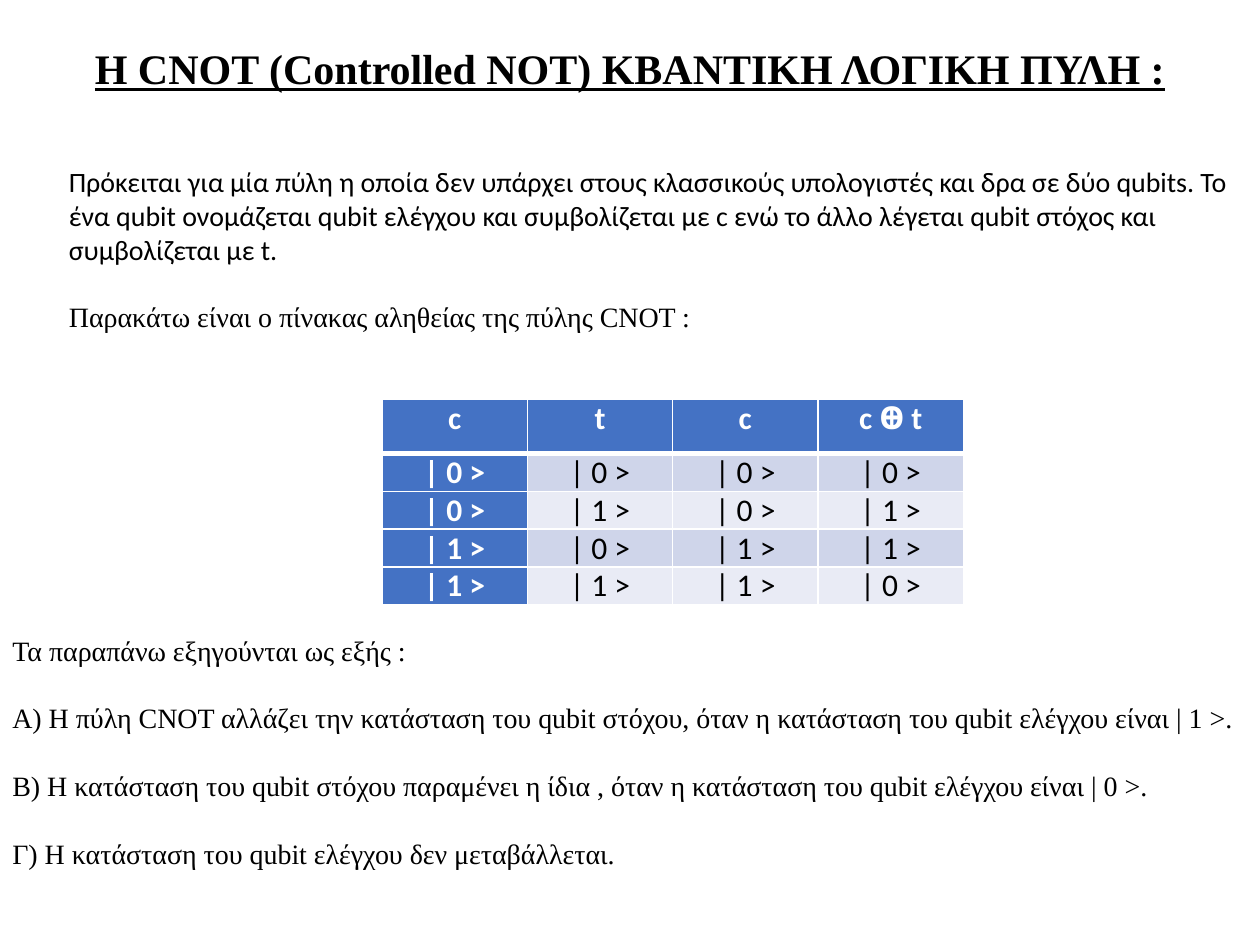
from dataclasses import dataclass

from lxml import etree
from pptx import Presentation, util as u
from pptx.dml.color import RGBColor
from pptx.enum import text
from pptx.oxml.ns import qn


@dataclass(frozen=True)
class Theme:
    serif: str = "Times New Roman"
    sans: str = "Calibri"
    ink: str = "000000"
    white: str = "FFFFFF"
    header: str = "4472C4"
    bands: tuple = ("CFD5EA", "E9EBF5")
    title: int = 24
    body: int = 16
    cell: int = 18
    gap: float = 19.5


T = Theme()


def add_run(p, words, font, size, color=T.ink, bold=False, underline=False):
    r = p.add_run()
    r.text = words
    r.font.name = font
    r.font.size = u.Pt(size)
    r.font.color.rgb = RGBColor.from_string(color)
    r.font.bold = bold
    r.font.underline = underline


def add_box(left, top, width, height):
    tf = s.shapes.add_textbox(u.Cm(left), u.Cm(top), u.Cm(width), u.Cm(height)).text_frame
    tf.word_wrap = True
    return tf


prs = Presentation()
prs.slide_width, prs.slide_height = u.Cm(25.4), u.Cm(19.05)
s = prs.slides.add_slide(prs.slide_layouts[6])

p = add_box(0, 0.74, 25.4, 4.11).paragraphs[0]
p.alignment = text.PP_ALIGN.CENTER
add_run(p, "Η CNOT (Controlled NOT) ΚΒΑΝΤΙΚΗ ΛΟΓΙΚΗ ΠΥΛΗ :", T.serif, T.title, bold=True, underline=True)

intro = [
    ("Πρόκειται για μία πύλη η οποία δεν υπάρχει στους κλασσικούς υπολογιστές και δρα σε δύο qubits. To "
     " ένα qubit ονομάζεται qubit ελέγχου και συμβολίζεται με c ενώ το άλλο λέγεται qubit στόχος και "
     "συμβολίζεται με t.", T.sans),
    ("Παρακάτω είναι ο πίνακας αληθείας της πύλης CNOT :", T.serif),
]
rules = [
    ("Τα παραπάνω εξηγούνται ως εξής :", T.serif),
    ("Α) Η πύλη CNOT αλλάζει την κατάσταση του qubit στόχου, όταν η κατάσταση του qubit ελέγχου είναι | 1 >.", T.serif),
    ("Β) Η κατάσταση του qubit στόχου παραμένει η ίδια , όταν η κατάσταση του qubit ελέγχου είναι | 0 >.", T.serif),
    ("Γ) Η κατάσταση του qubit ελέγχου δεν μεταβάλλεται.", T.serif),
]
for place, lines in (((1.14, 3.2, 24.38, 4.45), intro), ((0, 12.64, 25.4, 5.72), rules)):
    tf = add_box(*place)
    for i, (words, font) in enumerate(lines):
        p = tf.add_paragraph() if i else tf.paragraphs[0]
        if i:
            p.space_before = u.Pt(T.gap)
        add_run(p, words, font, T.body)

rows = [["c", "t", "c", "c Ꚛ t"]]
for c in (0, 1):
    for t in (0, 1):
        rows.append([f"| {bit} >" for bit in (c, t, c, c ^ t)])

table = s.shapes.add_table(5, 4, u.Cm(7.7), u.Cm(8.05), u.Cm(11.72), u.Cm(4.13)).table
for col in table.columns:
    col.width = u.Cm(2.93)
for i, row in enumerate(rows):
    table.rows[i].height = u.Cm(0.76 if i else 1.09)
    for j, words in enumerate(row):
        cell = table.cell(i, j)
        cell.margin_left = cell.margin_right = u.Cm(0.18)
        cell.margin_top = cell.margin_bottom = 0
        tcPr = cell._tc.get_or_add_tcPr()
        for side in "LRTB":
            thick = (i, side) in ((0, "B"), (1, "T"))
            ln = etree.SubElement(tcPr, qn(f"a:ln{side}"), w=str(u.Pt(3 if thick else 1)))
            etree.SubElement(etree.SubElement(ln, qn("a:solidFill")), qn("a:srgbClr"), val=T.white)
        heading = i == 0 or j == 0
        cell.fill.solid()
        cell.fill.fore_color.rgb = RGBColor.from_string(T.header if heading else T.bands[(i - 1) % 2])
        p = cell.text_frame.paragraphs[0]
        p.alignment = text.PP_ALIGN.CENTER
        add_run(p, words, T.sans, T.cell, T.white if heading else T.ink, heading)

prs.save("out.pptx")
